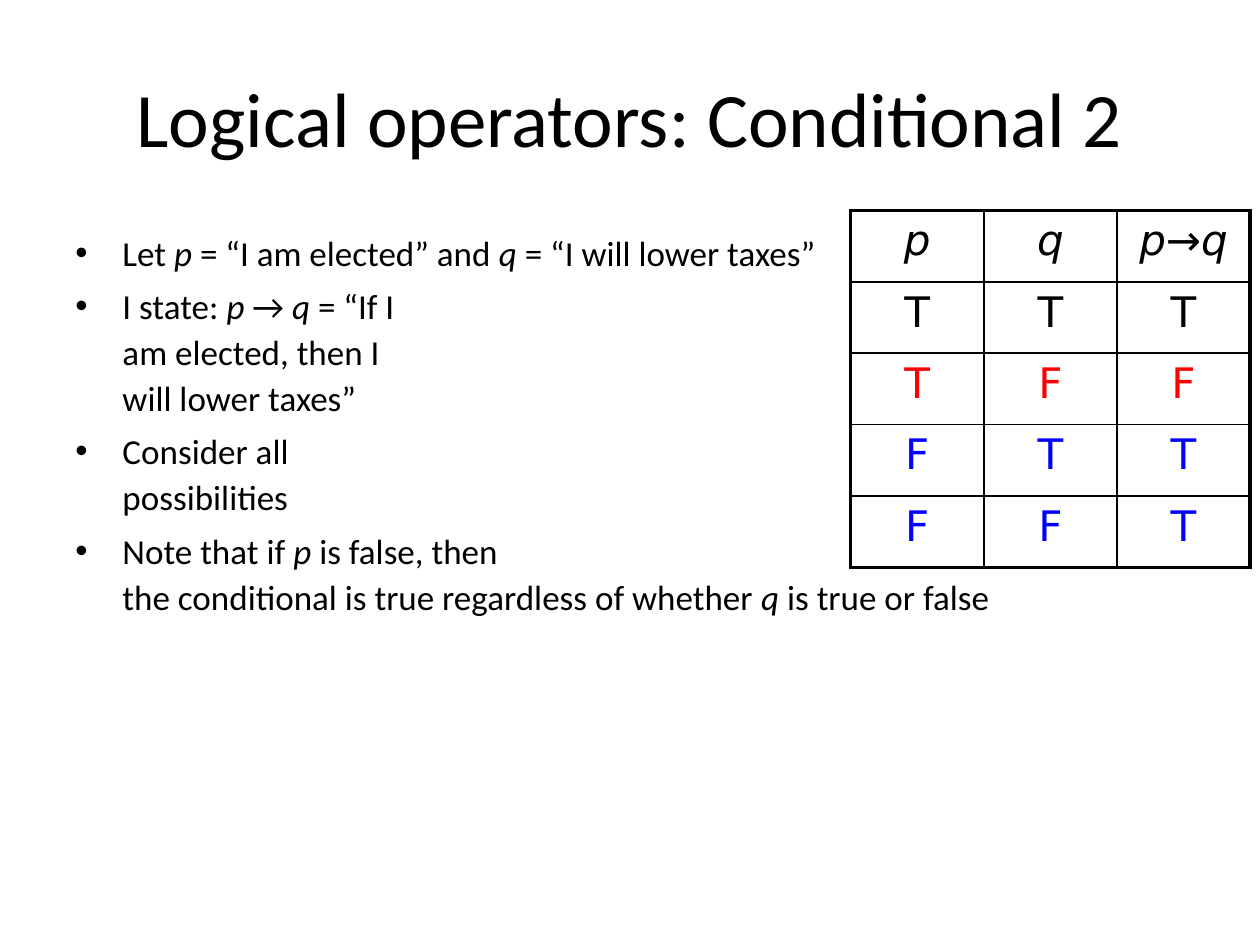
from lxml import etree
from pptx import Presentation
from pptx import util as u
from pptx.dml.color import RGBColor
from pptx.enum import text
from pptx.oxml import ns

HUES = {"ink": "000000", "red": "FF0000", "blue": "0000FF"}
TITLE = "Logical operators: Conditional 2"
POINTS = [
    "Let *p* = “I am elected” and *q* = “I will lower taxes”",
    "I state: *p *→ *q* = “If I \nam elected, then I \nwill lower taxes”",
    "Consider all \npossibilities",
    "Note that if *p* is false, then \n"
    "the conditional is true regardless of whether *q* is true or false",
]
TRUTH = [
    ("ink", ["*p*", "*q*", "*p*→*q*"]),
    ("ink", "TTT"),
    ("red", "TFF"),
    ("blue", "FTT"),
    ("blue", "FFT"),
]


def write(para, words, size, face="Calibri", hue="ink"):
    """Fill a paragraph, with words between asterisks in italics."""
    for i, part in enumerate(words.split("*")):
        for j, line in enumerate(part.split("\n")):
            if j:
                para.add_line_break()
            if line:
                run = para.add_run()
                run.text = line
                if i % 2:
                    run.font.italic = True
    font = para.font
    font.size, font.name = u.Pt(size), face
    font.color.rgb = RGBColor.from_string(HUES[hue])


def add_box(slide, box):
    """Add a wrapping text box and return its frame."""
    frame = slide.shapes.add_textbox(*map(u.Cm, box)).text_frame
    frame.word_wrap = True
    return frame


def add_title(slide, box):
    """Place the centred heading."""
    frame = add_box(slide, box)
    frame.vertical_anchor = text.MSO_ANCHOR.MIDDLE
    para = frame.paragraphs[0]
    para.alignment = text.PP_ALIGN.CENTER
    write(para, TITLE, 44)


def add_points(slide, box):
    """Place the bulleted points."""
    frame = add_box(slide, box)
    for i, words in enumerate(POINTS):
        para = frame.add_paragraph() if i else frame.paragraphs[0]
        para.line_spacing = 1.1
        if i:
            para.space_before = u.Pt(4)
        props = para._p.get_or_add_pPr()
        props.set("marL", str(u.Cm(0.95)))
        props.set("indent", str(u.Cm(-0.95)))
        etree.SubElement(props, ns.qn("a:buFont"), typeface="Arial")
        etree.SubElement(props, ns.qn("a:buChar"), char="•")
        write(para, words, 20)


def add_edge(cell, side, width):
    """Draw one border of a cell."""
    line = etree.SubElement(
        cell._tc.get_or_add_tcPr(), ns.qn("a:ln" + side), w=str(u.Pt(width)))
    fill = etree.SubElement(line, ns.qn("a:solidFill"))
    etree.SubElement(fill, ns.qn("a:srgbClr"), val=HUES["ink"])


def add_truth(slide, box):
    """Place the truth table with a heavy outer frame."""
    rows, cols = len(TRUTH), len(TRUTH[0][1])
    table = slide.shapes.add_table(rows, cols, *map(u.Cm, box)).table
    table.first_row = table.horz_banding = False
    for r, (hue, marks) in enumerate(TRUTH):
        for c, mark in enumerate(marks):
            cell = table.cell(r, c)
            para = cell.text_frame.paragraphs[0]
            para.alignment = text.PP_ALIGN.CENTER
            write(para, mark, 24, "DejaVu Sans", hue)
            outer = {"L": c == 0, "R": c == cols - 1,
                     "T": r == 0, "B": r == rows - 1}
            for side, heavy in outer.items():
                add_edge(cell, side, 2.25 if heavy else 1)
            cell.fill.background()


def main():
    """Build and save the slide."""
    deck = Presentation()
    deck.slide_width, deck.slide_height = u.Cm(25.4), u.Cm(19.05)
    slide = deck.slides.add_slide(deck.slide_layouts[6])
    add_title(slide, (1.27, 0.76, 22.86, 3.18))
    add_points(slide, (1.27, 4.45, 22.86, 12.57))
    add_truth(slide, (17.15, 4.24, 8.05, 7.2))
    deck.save("out.pptx")


if __name__ == "__main__":
    main()
